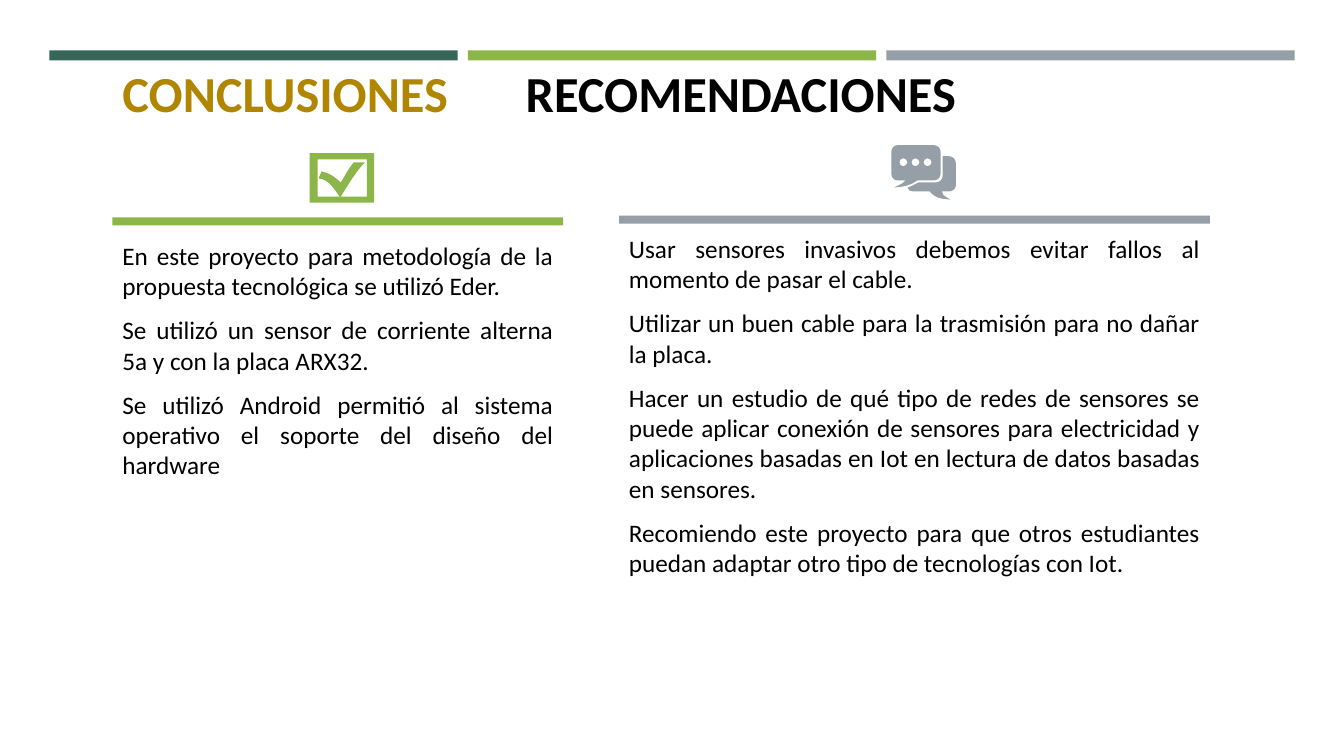
from lxml.etree import SubElement
from pptx import Presentation
from pptx.dml.color import RGBColor
from pptx.enum.shapes import MSO_SHAPE
from pptx.enum.text import MSO_ANCHOR, MSO_AUTO_SIZE, PP_ALIGN
from pptx.oxml.ns import qn
from pptx.util import Inches, Pt

THEME = {
    "teal": RGBColor.from_string("366658"),
    "green": RGBColor.from_string("8CB64A"),
    "gray": RGBColor.from_string("969FA7"),
    "gold": RGBColor.from_string("B08600"),
    "ink": RGBColor.from_string("000000"),
    "font": "Calibri",
    "title": Pt(36),
    "body": Pt(18),
}
COLUMNS, ROWS = 1333, 750

deck = Presentation()
deck.slide_width, deck.slide_height = Inches(COLUMNS / 100), Inches(ROWS / 100)
page = deck.slides.add_slide(deck.slide_layouts[6])
unit = deck.slide_width / COLUMNS


def paint(shape, color):
    shape.shadow.inherit = False
    shape.fill.solid()
    shape.fill.fore_color.rgb = THEME[color]
    shape.line.fill.background()


def add_outline(contours, color):
    """Contours hold grid points; six numbers make a Bezier curve."""
    builder = page.shapes.build_freeform(*contours[0][0], scale=unit)
    for index, contour in enumerate(contours):
        if index:
            builder.move_to(*contour[0])
        builder.add_line_segments([step[-2:] for step in contour[1:]], close=True)
    shape = builder.convert_to_shape()
    paint(shape, color)
    # Turn the straight steps that have handles into curves
    steps = [step for contour in contours for step in contour[1:]]
    lines = list(shape._element.iter(qn("a:lnTo")))
    for step, line in zip(steps, lines):
        if len(step) == 6:
            end = line[0]
            shift_x, shift_y = int(end.get("x")) - step[4], int(end.get("y")) - step[5]
            line.tag = qn("a:cubicBezTo")
            line.remove(end)
            for x, y in zip(step[::2], step[1::2]):
                SubElement(line, qn("a:pt"), x=str(x + shift_x), y=str(y + shift_y))


# Bars: three across the top, one heading each column
bars = [(49 + 415 * n, 50, 405, 10, color)
        for n, color in enumerate(("teal", "green", "gray"))]
bars += [(111.6, 215.6, 447, 8, "green"), (614, 214, 586, 8, "gray")]
for *place, color in bars:
    paint(page.shapes.add_shape(MSO_SHAPE.RECTANGLE, *(round(v * unit) for v in place)), color)

# Text: title and the two columns
texts = [
    {
        "place": (111.6, 57, 1107, 85),
        "frame": {"word_wrap": True, "vertical_anchor": MSO_ANCHOR.MIDDLE,
                  "margin_bottom": Inches(0.13)},
        "para": {"line_spacing": 0.9},
        "font": {"size": THEME["title"], "bold": True},
        "paras": [[("CONCLUSIONES\t", "gold"), ("RECOMENDACIONES", "ink")]],
        "tab": Inches(4),
    },
]
columns = [
    ((111.6, 233.5, 447, 250), [
        "En este proyecto para metodología de la propuesta tecnológica se utilizó Eder.",
        "Se utilizó un sensor de corriente alterna 5a y con la placa ARX32.",
        "Se utilizó Android permitió al sistema operativo el soporte del diseño del hardware",
    ]),
    ((614, 226.4, 586, 392), [
        "Usar sensores invasivos debemos evitar fallos al momento de pasar el cable.",
        "Utilizar un buen cable para la trasmisión para no dañar la placa.",
        "Hacer un estudio de qué tipo de redes de sensores se puede aplicar conexión de "
        "sensores para electricidad y aplicaciones basadas en Iot en lectura de datos "
        "basadas en sensores.",
        "Recomiendo este proyecto para que otros estudiantes puedan adaptar otro tipo de "
        "tecnologías con Iot.",
    ]),
]
for place, lines in columns:
    texts.append({
        "place": place,
        "frame": {"word_wrap": True, "auto_size": MSO_AUTO_SIZE.SHAPE_TO_FIT_TEXT},
        "para": {"alignment": PP_ALIGN.JUSTIFY, "space_after": Pt(5)},
        "font": {"size": THEME["body"]},
        "paras": [[(line, "ink")] for line in lines],
    })

for text in texts:
    box = page.shapes.add_textbox(*(round(v * unit) for v in text["place"]))
    frame = box.text_frame
    for name, value in text["frame"].items():
        setattr(frame, name, value)
    for index, spans in enumerate(text["paras"]):
        para = frame.add_paragraph() if index else frame.paragraphs[0]
        for name, value in text["para"].items():
            setattr(para, name, value)
        if index:
            para.space_before = Pt(5)
        if "tab" in text:
            stops = SubElement(para._p.get_or_add_pPr(), qn("a:tabLst"))
            SubElement(stops, qn("a:tab"), pos=str(text["tab"]), algn="l")
        for words, color in spans:
            span = para.add_run()
            span.text = words
            for name, value in {"name": THEME["font"], **text["font"]}.items():
                setattr(span.font, name, value)
            span.font.color.rgb = THEME[color]

# Check mark in a square
add_outline([
    [(315, 158), (315, 195), (337, 195), (332, 189, 327, 178, 316, 177), (319, 170),
     (330, 173, 332, 176, 338, 181), (343, 173, 345, 168, 351, 161), (362, 161),
     (353, 170, 345, 184, 338, 195), (364, 195), (364, 158)],
    [(307, 152), (371, 152), (371, 201), (307, 201)],
], "green")

# Two speech bubbles, the front one with three dots
dots = [[(x, 157), (x - 2, 157, x - 4, 159, x - 4, 161), (x - 4, 163, x - 2, 165, x, 165),
         (x + 2, 165, x + 4, 163, x + 4, 161), (x + 4, 159, x + 2, 157, x, 157)]
        for x in (920, 908, 896)]
add_outline([
    *dots,
    [(935, 155), (941, 155), (945, 155, 948, 158, 948, 162), (948, 184),
     (948, 187, 945, 190, 941, 190), (934, 190), (935, 193, 935, 194, 943, 198),
     (930, 197, 928, 196, 922, 190), (906, 190), (903, 190, 901, 189, 900, 186),
     (904, 185, 907, 183, 911, 181), (928, 181), (932, 181, 935, 178, 935, 174)],
    [(890, 144), (926, 144), (930, 144, 933, 147, 933, 151), (933, 172),
     (933, 176, 930, 179, 926, 179), (910, 179), (902, 184, 899, 185, 887, 186),
     (894, 182, 895, 183, 898, 179), (890, 179), (887, 179, 884, 176, 884, 172),
     (884, 151), (884, 147, 887, 144, 890, 144)],
], "gray")

deck.save("out.pptx")
